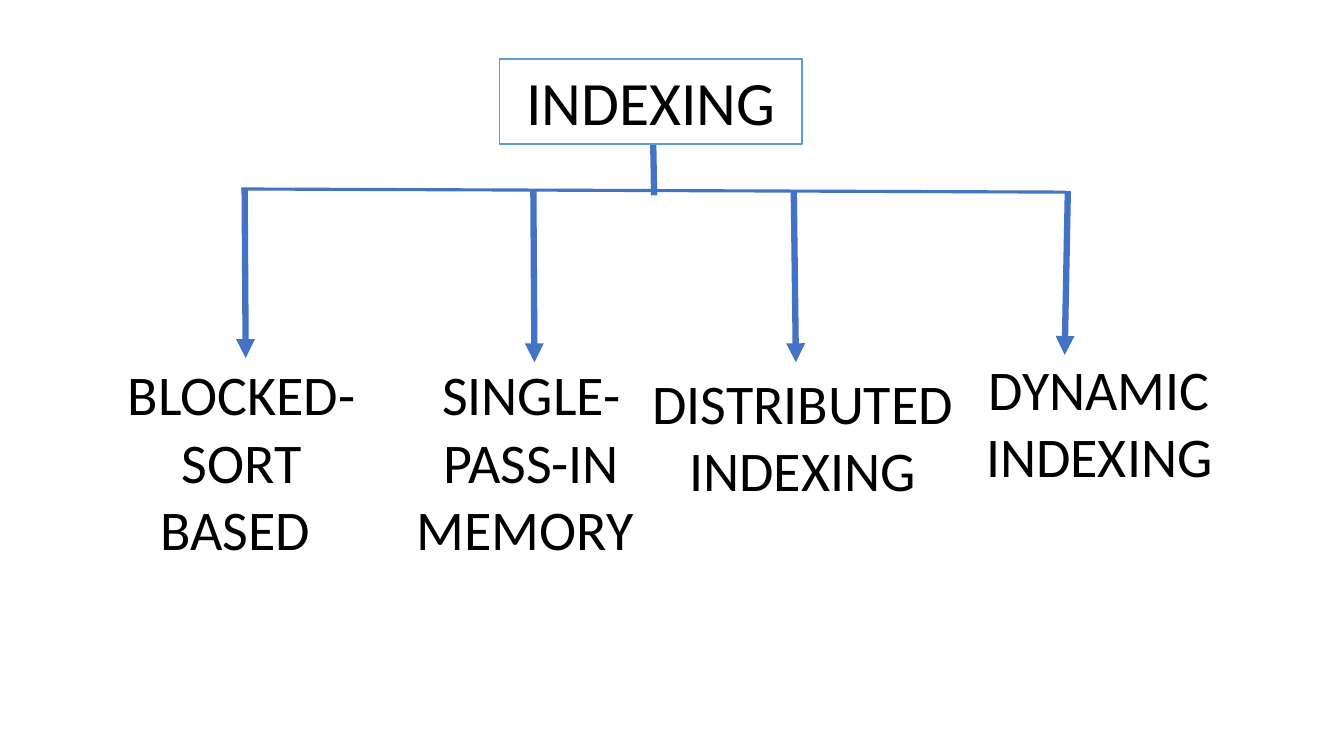
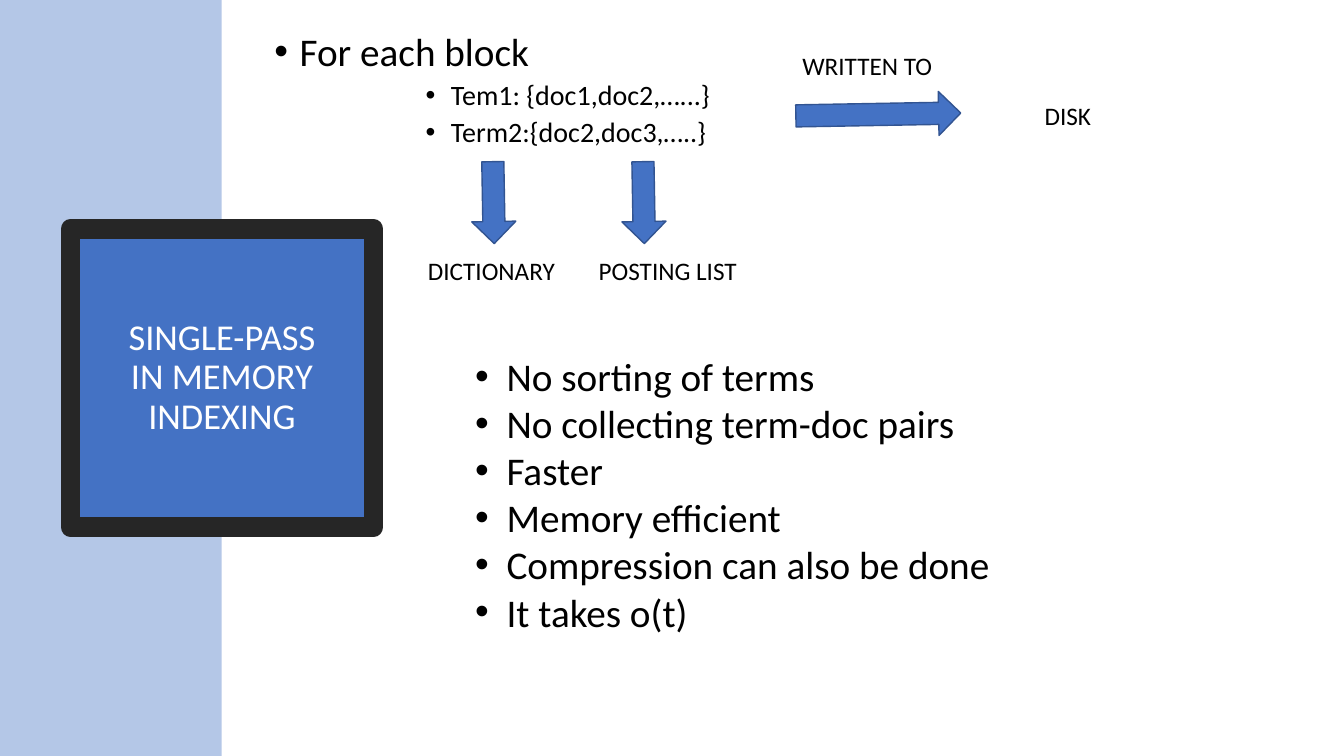
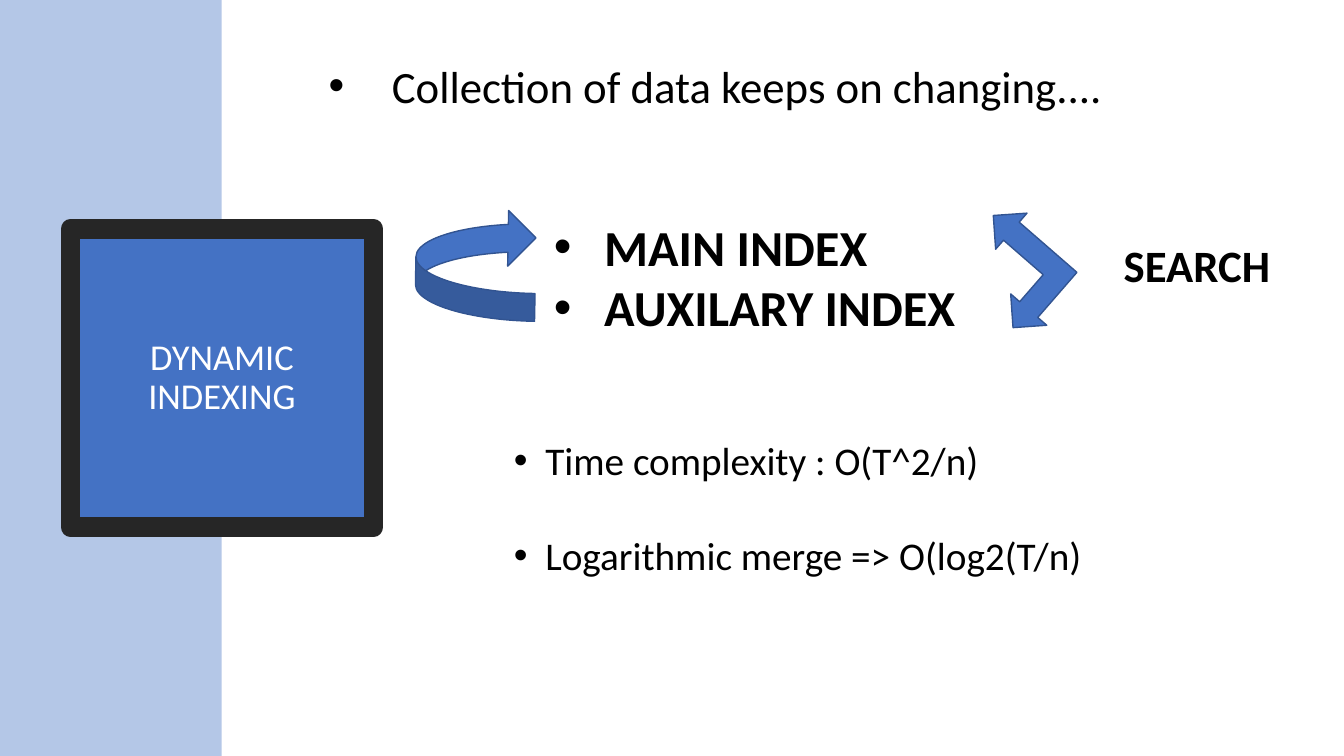
from lxml import etree
from pptx import Presentation
from pptx.dml.color import RGBColor
from pptx.enum.shapes import MSO_CONNECTOR, MSO_SHAPE
from pptx.enum.text import MSO_ANCHOR, MSO_AUTO_SIZE, PP_ALIGN
from pptx.oxml.ns import qn
from pptx.util import Emu, Pt

SCALE = 9525  # EMU in one px, 96 px to the inch
WIDE, HIGH = 1280, 720
FONT = "Calibri"
COLORS = {
    "text": "000000",
    "white": "FFFFFF",
    "blue": "4472C4",
    "edge": "325491",
    "band": "B4C7E7",
    "frame": "262626",
    "box": "5B9BD5",
}
RECT = MSO_SHAPE.RECTANGLE
RIGHT = MSO_SHAPE.RIGHT_ARROW
CURVED = MSO_SHAPE.CURVED_LEFT_ARROW
FORK = MSO_SHAPE.LEFT_UP_ARROW
STRAIGHT = MSO_CONNECTOR.STRAIGHT
LEFT, CENTER = PP_ALIGN.LEFT, PP_ALIGN.CENTER
TOP, MIDDLE = MSO_ANCHOR.TOP, MSO_ANCHOR.MIDDLE
NO_FIT = MSO_AUTO_SIZE.NONE
TITLE_ONLY, BLANK = 5, 6


def px(*nums):
    return [Emu(num * SCALE) for num in nums]


def color(name):
    return RGBColor.from_string(COLORS[name])


def paint(shape, fill, line=None, width=1):
    shape.fill.solid()
    shape.fill.fore_color.rgb = color(fill)
    if line:
        shape.line.color.rgb = color(line)
        shape.line.width = Pt(width)
    else:
        shape.line.fill.background()


def style(para, size, ink="text", bold=False, align=LEFT):
    para.alignment = align
    para.font.name = FONT
    para.font.size = Pt(size)
    para.font.bold = bold
    para.font.color.rgb = color(ink)


def bullet(para, indent, hang):
    """Put a bullet before a paragraph whose text starts at indent px."""
    props = para._p.get_or_add_pPr()
    props.set("marL", str(indent * SCALE))
    props.set("indent", str(-hang * SCALE))
    font = etree.SubElement(props, qn("a:buFont"))
    font.set("typeface", "Arial")
    etree.SubElement(props, qn("a:buChar")).set("char", "•")


def shape(slide, kind, box, fill, line=None, turn=0):
    item = slide.shapes.add_shape(kind, *px(*box))
    item.shadow.inherit = False
    item.rotation = turn
    paint(item, fill, line)
    return item


def arrow(slide, kind, box, turn):
    shape(slide, kind, box, "blue", "edge", turn)


def line(slide, ends, width=4.5, head=False):
    item = slide.shapes.add_connector(STRAIGHT, *px(*ends))
    item.line.color.rgb = color("blue")
    item.line.width = Pt(width)
    if head:
        tail = etree.SubElement(item.line._get_or_add_ln(), qn("a:tailEnd"))
        tail.set("type", "triangle")
    etree.SubElement(item._element.spPr, qn("a:effectLst"))


def text(slide, box, lines, size, bold=False, align=LEFT, hang=0):
    """Add a text box; with a hang, each line gets a bullet."""
    frame = slide.shapes.add_textbox(*px(*box)).text_frame
    frame.word_wrap = True
    frame.text = "\n".join(lines)
    for para in frame.paragraphs:
        style(para, size, bold=bold, align=align)
        if hang:
            bullet(para, hang, hang)
    return frame.paragraphs


def label(slide, box, words, size=18, bold=False):
    text(slide, box, [words], size, bold, CENTER)


def topic(prs, words):
    """Add a slide with the side band and the framed title."""
    slide = prs.slides.add_slide(prs.slide_layouts[TITLE_ONLY])
    title = slide.shapes.title
    title.left, title.top, title.width, title.height = px(67, 218, 289, 284)
    paint(title, "blue", "frame", 13.75)
    etree.SubElement(title.line._get_or_add_ln(), qn("a:round"))
    frame = title.text_frame
    frame.text = words
    frame.word_wrap = True
    frame.auto_size = NO_FIT
    frame.vertical_anchor = MIDDLE
    frame.margin_left, frame.margin_right = px(20, 20)
    for para in frame.paragraphs:
        style(para, 26, "white", align=CENTER)
        para.line_spacing = 0.9
    band = shape(slide, RECT, (0, 0, 211, HIGH), "band")
    title.element.addprevious(band.element)
    return slide


def tree(prs):
    slide = prs.slides.add_slide(prs.slide_layouts[BLANK])
    line(slide, (230, 180, 1015, 183), 2.25)
    line(slide, (622, 130, 623, 186))
    branches = [
        ("BLOCKED-SORT BASED ", (91, 338, 278, 204), (233, 179, 234, 341)),
        ("SINGLE-PASS-IN MEMORY ", (367, 338, 278, 204), (508, 181, 509, 345)),
        ("DISTRIBUTED INDEXING", (607, 346, 315, 139), (756, 182, 758, 345)),
        ("DYNAMIC INDEXING", (908, 333, 278, 139), (1017, 182, 1014, 338)),
    ]
    for words, box, stem in branches:
        line(slide, stem, head=True)
        label(slide, box, words, 40)
    root = shape(slide, RECT, (476, 56, 288, 81), "white", "box")
    frame = root.text_frame
    frame.text = "INDEXING"
    frame.vertical_anchor = TOP
    style(frame.paragraphs[0], 44, align=CENTER)


def single(prs):
    slide = topic(prs, "SINGLE-PASS\vIN MEMORY INDEXING")
    head, *terms = text(
        slide, (252, 26, 760, 130),
        ["For each block", "Tem1: {doc1,doc2,…...}", "Term2:{doc2,doc3,…..}"], 28)
    head.line_spacing, head.space_before = 0.9, Pt(10)
    bullet(head, 24, 24)
    for term in terms:
        term.font.size = Pt(20)
        term.line_spacing, term.space_before = 0.9, Pt(5)
        bullet(term, 168, 24)
    for left in (431, 574):
        arrow(slide, RIGHT, (left, 172, 78, 42), 89)
    arrow(slide, RIGHT, (758, 88, 157, 42), 359)
    for words, left, top in [
        ("DICTIONARY", 324, 238), ("POSTING LIST", 492, 238),
        ("DISK", 873, 91), ("WRITTEN TO", 682, 43),
    ]:
        label(slide, (left, top, 288, 38), words)
    text(slide, (443, 331, 661, 281), [
        "No sorting of terms", "No collecting term-doc pairs", "Faster",
        "Memory efficient", "Compression can also be done", "It takes o(t)",
    ], 28, hang=30)


def dynamic(prs):
    slide = topic(prs, "DYNAMIC INDEXING")
    text(slide, (251, 51, 871, 61),
         ["Collection of data keeps on changing.... "], 32, align=CENTER, hang=60)
    text(slide, (518, 201, 590, 126), ["MAIN INDEX", "AUXILARY INDEX"],
         36, bold=True, hang=48)
    arrow(slide, CURVED, (396, 199, 114, 106), 181)
    arrow(slide, FORK, (926, 204, 91, 107), 311)
    label(slide, (996, 222, 288, 61), "SEARCH", 32, bold=True)
    costs = text(slide, (480, 411, 667, 145),
                 ["Time complexity : O(T^2/n)", "Logarithmic merge => O(log2(T/n)"],
                 28, hang=30)
    costs[1].space_before = Pt(34)


def main():
    prs = Presentation()
    prs.slide_width, prs.slide_height = px(WIDE, HIGH)
    tree(prs)
    single(prs)
    dynamic(prs)
    prs.save("out.pptx")


if __name__ == "__main__":
    main()
